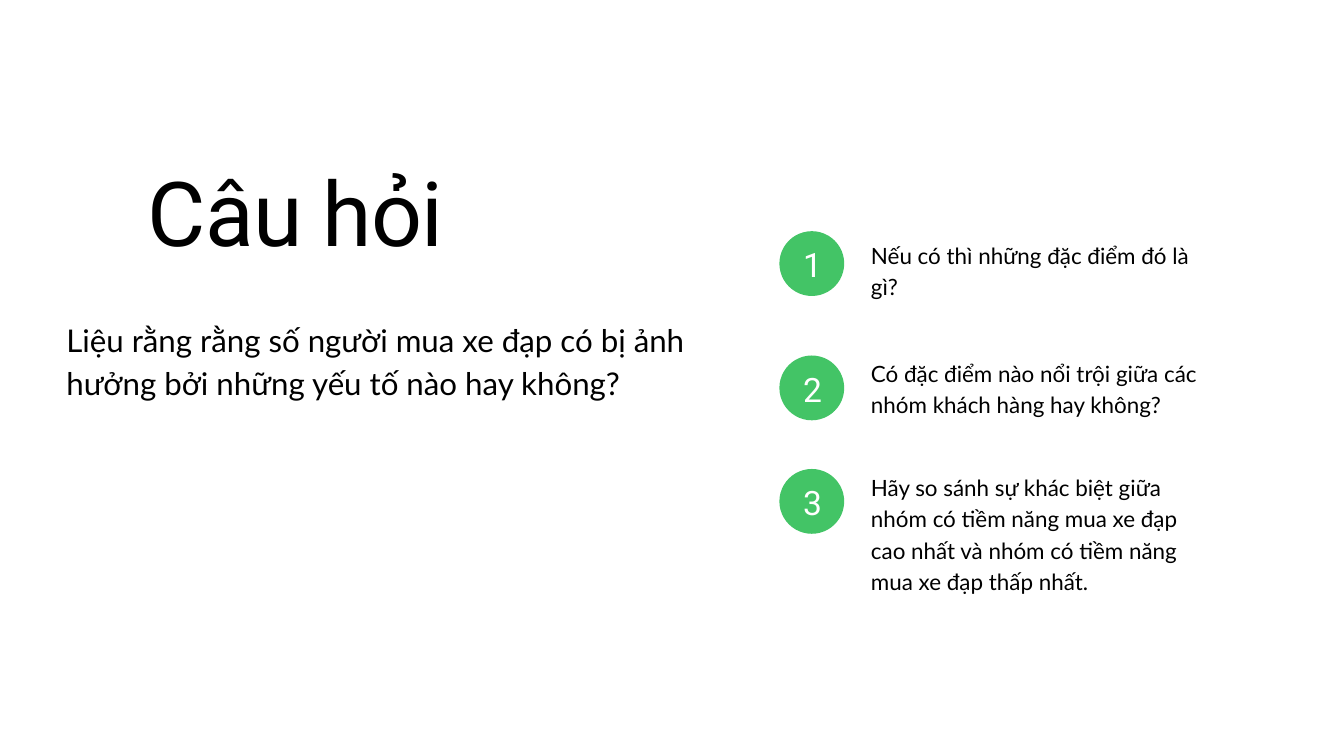
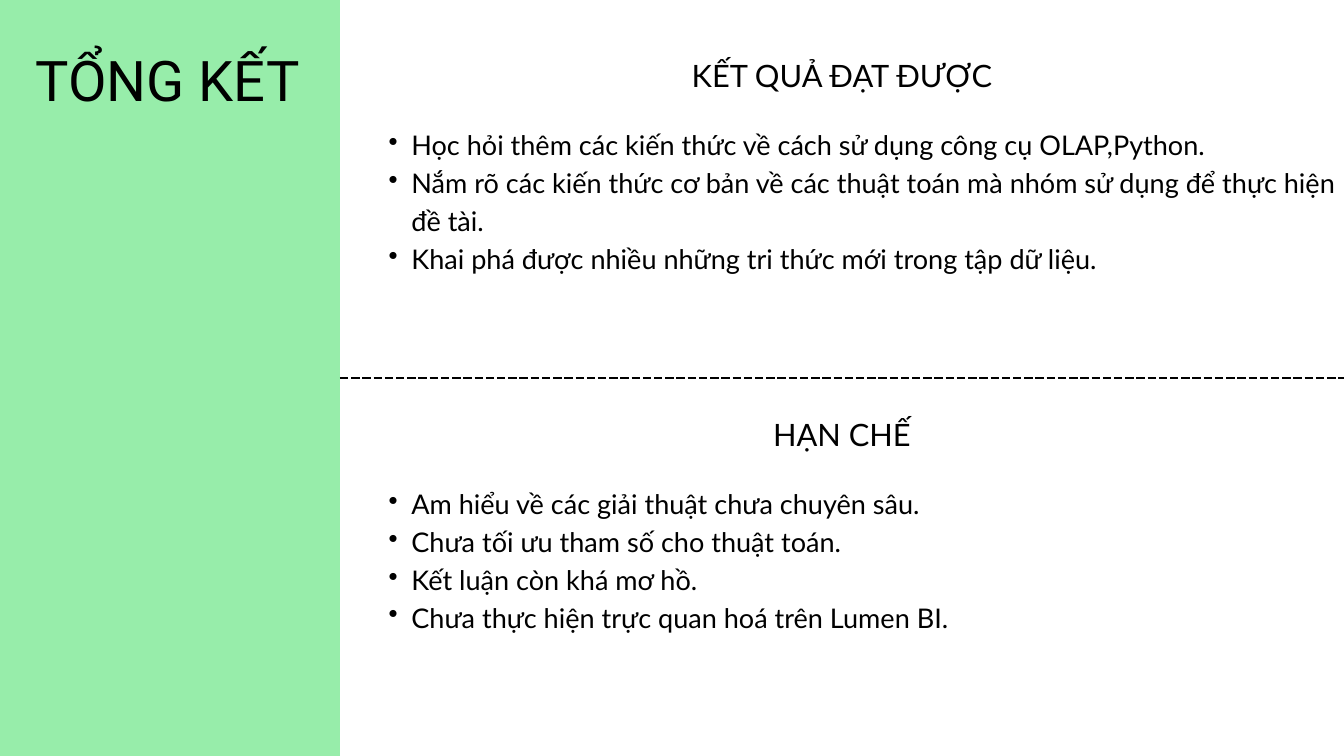
import pptx
import pptx.util
import pptx.dml.color
import pptx.enum.dml
import pptx.enum.shapes
import pptx.enum.text
import pptx.oxml.ns
import lxml.etree

Cm = pptx.util.Cm
Pt = pptx.util.Pt
LEFT = pptx.enum.text.PP_ALIGN.LEFT
CENTER = pptx.enum.text.PP_ALIGN.CENTER

COLOURS = {"ink": "000000", "paper": "FFFFFF", "badge": "43C466", "sidebar": "97EDAA"}
HEADING_FONT, BODY_FONT = "Roboto", "Lato"
SLIDE_W, SLIDE_H = 50.8, 28.58
SIDEBAR_RIGHT, SIDEBAR_BLEED = 12.85, 0.84
BADGE_SIZE = 2.45

QUESTIONS = [
    (8.74, 0.25, 2.29, "Nếu có thì những đặc điểm đó là gì?"),
    (13.44, 0, 3.45, "Có đặc điểm nào nổi trội giữa các nhóm khách hàng hay không?"),
    (17.73, 0.02, 4.62, "Hãy so sánh sự khác biệt giữa nhóm có tiềm năng mua xe đạp "
                        "cao nhất và nhóm có tiềm năng mua xe đạp thấp nhất."),
]
RESULTS = [
    "Học hỏi thêm các kiến thức về cách sử dụng công cụ OLAP,Python.",
    "Nắm rõ các kiến thức cơ bản về các thuật toán mà nhóm sử dụng để thực hiện đề tài.",
    "Khai phá được nhiều những tri thức mới trong tập dữ liệu.",
]
LIMITS = [
    "Am hiểu về các giải thuật chưa chuyên sâu.",
    "Chưa tối ưu tham số cho thuật toán.",
    "Kết luận còn khá mơ hồ.",
    "Chưa thực hiện trực quan hoá trên Lumen BI.",
]


def rgb(name):
    """Return the named colour of the palette."""
    return pptx.dml.color.RGBColor.from_string(COLOURS[name])


def add_bullet(paragraph):
    """Give a paragraph a hanging round bullet."""
    properties = paragraph._p.get_or_add_pPr()
    properties.set("marL", str(Cm(1.73)))
    properties.set("indent", str(Cm(-0.86)))
    bullet = lxml.etree.SubElement(properties, pptx.oxml.ns.qn("a:buChar"))
    bullet.set("char", "•")


def add_text(slide, box, lines, size, leading, font=BODY_FONT, colour="ink",
             align=LEFT, bulleted=False, tracking=None):
    """Write lines in a margin-free box given as left, top, width, height in cm."""
    frame = slide.shapes.add_textbox(*map(Cm, box)).text_frame
    frame.word_wrap = True
    frame.auto_size = pptx.enum.text.MSO_AUTO_SIZE.SHAPE_TO_FIT_TEXT
    frame.margin_left = frame.margin_top = frame.margin_right = frame.margin_bottom = 0
    frame.text = "\n".join(lines)
    for paragraph in frame.paragraphs:
        paragraph.alignment = align
        paragraph.line_spacing = Pt(leading)
        if bulleted:
            add_bullet(paragraph)
        for run in paragraph.runs:
            run.font.name = font
            run.font.size = Pt(size)
            run.font.color.rgb = rgb(colour)
            if tracking is not None:
                run.font._element.set("spc", str(tracking))


def add_plain_shape(slide, preset, box, colour):
    """Draw a flat, borderless preset shape."""
    shape = slide.shapes.add_shape(preset, *map(Cm, box))
    shape.shadow.inherit = False
    shape.fill.solid()
    shape.fill.fore_color.rgb = rgb(colour)
    shape.line.fill.background()
    return shape


def add_question(slide, box, number, text, text_drop):
    """Place a numbered badge with its question to the right."""
    left, top, width, height = box
    add_plain_shape(slide, pptx.enum.shapes.MSO_SHAPE.OVAL,
                    (left, top, BADGE_SIZE, BADGE_SIZE), "badge")
    add_text(slide, (left + 0.66, top + 0.62, 1.19, 1.4), [str(number)], 36, 39.6,
             HEADING_FONT, "paper", CENTER)
    text_left = 3.46
    add_text(slide, (left + text_left, top + text_drop, width - text_left, height),
             [text], 24, 33.6)


def add_sidebar(slide, box, title):
    """Place the coloured side band with the slide title on it."""
    left, top, width, height = box
    sidebar = add_plain_shape(slide, pptx.enum.shapes.MSO_SHAPE.RECTANGLE, box, "sidebar")
    add_text(slide, (left + 1.75, top + 1.3, 10.85, 2.82), [title], 60, 84,
             HEADING_FONT, align=CENTER)
    return sidebar


def add_divider(slide, sidebar):
    """Run a dashed line from the middle of the side band to the slide edge."""
    middle = sidebar.top + sidebar.height // 2
    divider = slide.shapes.add_connector(
        pptx.enum.shapes.MSO_CONNECTOR.STRAIGHT,
        sidebar.left + sidebar.width, middle, Cm(SLIDE_W), middle)
    divider.begin_connect(sidebar, 3)
    divider.line.color.rgb = rgb("ink")
    divider.line.width = Pt(3)
    divider.line.dash_style = pptx.enum.dml.MSO_LINE.SQUARE_DOT
    lxml.etree.SubElement(divider._element.spPr, pptx.oxml.ns.qn("a:effectLst"))


def add_section(slide, box, heading, heading_width, points, points_width):
    """Place a centred heading with a bulleted list below it."""
    left, top, width, height = box
    add_text(slide, (left + (width - heading_width) / 2, top, heading_width, 1.55),
             [heading], 33, 46.2, align=CENTER)
    list_drop = 2.74
    add_text(slide, (left + 0.97, top + list_drop, points_width, height - list_drop),
             points, 29, 40.6, bulleted=True)


def build_questions(slide):
    """Build the slide that asks the main question and its follow-ups."""
    add_text(slide, (5.59, 6.6, 12.7, 3.58), ["Câu hỏi"], 96, 96, HEADING_FONT, tracking=-96)
    add_text(slide, (2.51, 11.89, 25.98, 3.2),
             ["Liệu rằng rằng số người mua xe đạp có bị ảnh hưởng "
              "bởi những yếu tố nào hay không?"], 33.5, 46.9)
    for number, (top, text_drop, height, text) in enumerate(QUESTIONS, 1):
        add_question(slide, (29.46, top, 16.46, height), number, text, text_drop)


def build_summary(slide):
    """Build the slide that sums up results and limits."""
    sidebar = add_sidebar(
        slide, (-SIDEBAR_BLEED, 0, SIDEBAR_RIGHT + SIDEBAR_BLEED, SLIDE_H), "TỔNG KẾT")
    add_divider(slide, sidebar)
    width = SLIDE_W - SIDEBAR_RIGHT
    add_section(slide, (SIDEBAR_RIGHT, 1.93, width, 9.8),
                "KẾT QUẢ ĐẠT ĐƯỢC", 11.79, RESULTS, width - 0.97)
    add_section(slide, (SIDEBAR_RIGHT, 15.49, width, 9.8),
                "HẠN CHẾ", 5.36, LIMITS, 23.42)


def main():
    """Create the deck and save it."""
    deck = pptx.Presentation()
    deck.slide_width, deck.slide_height = Cm(SLIDE_W), Cm(SLIDE_H)
    for build in (build_questions, build_summary):
        slide = deck.slides.add_slide(deck.slide_layouts[6])
        slide.background.fill.solid()
        slide.background.fill.fore_color.rgb = rgb("paper")
        build(slide)
    deck.save("out.pptx")


if __name__ == "__main__":
    main()
